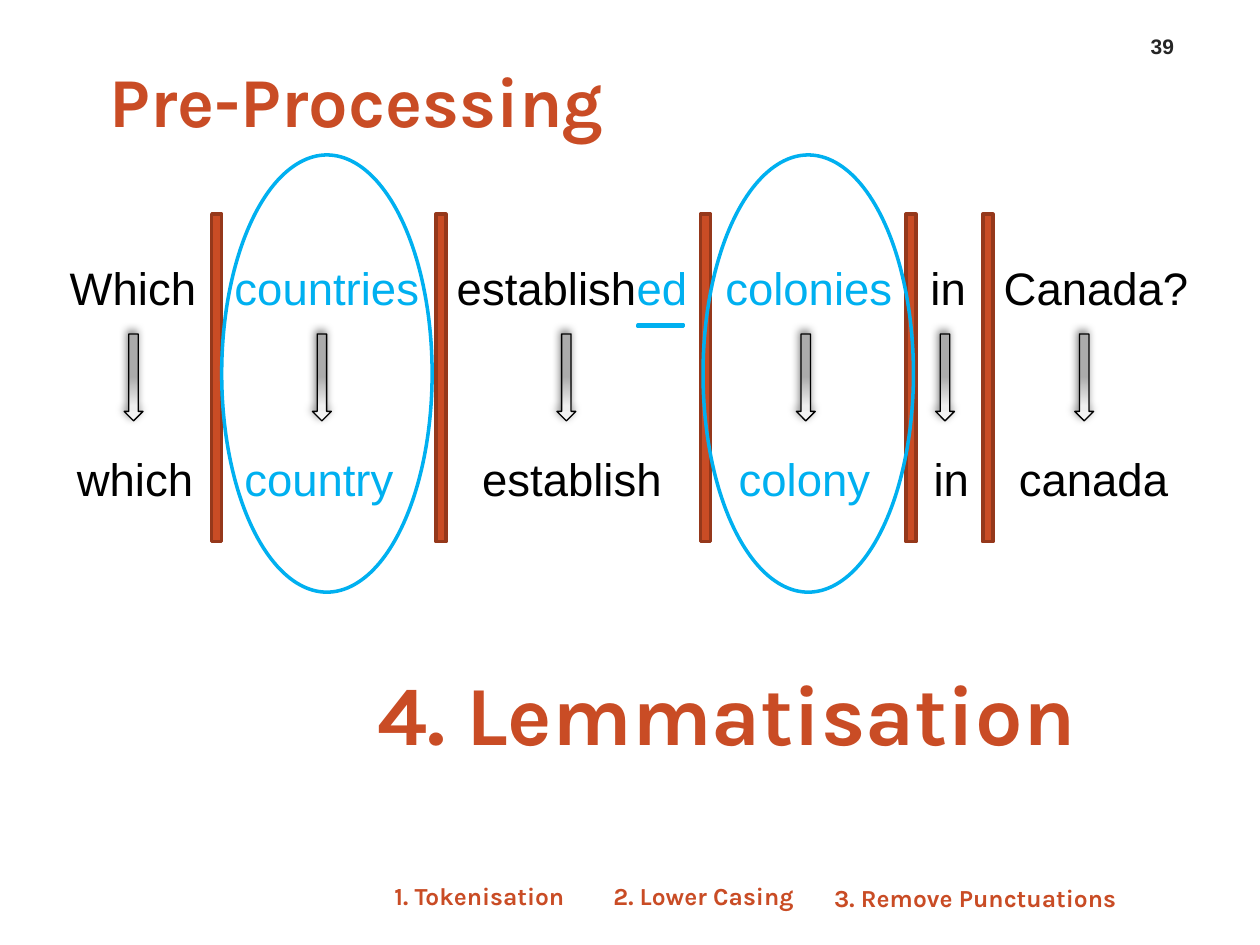
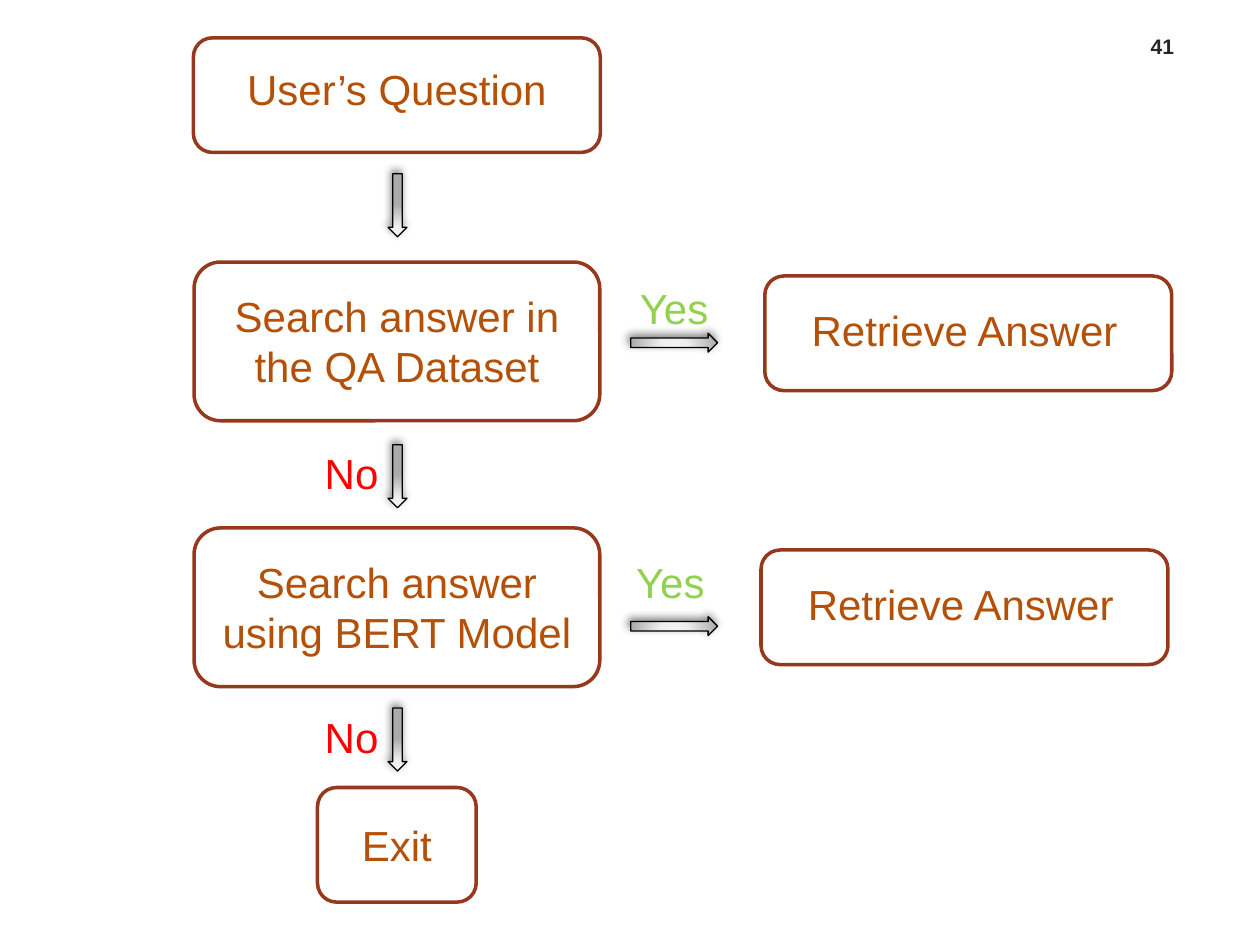
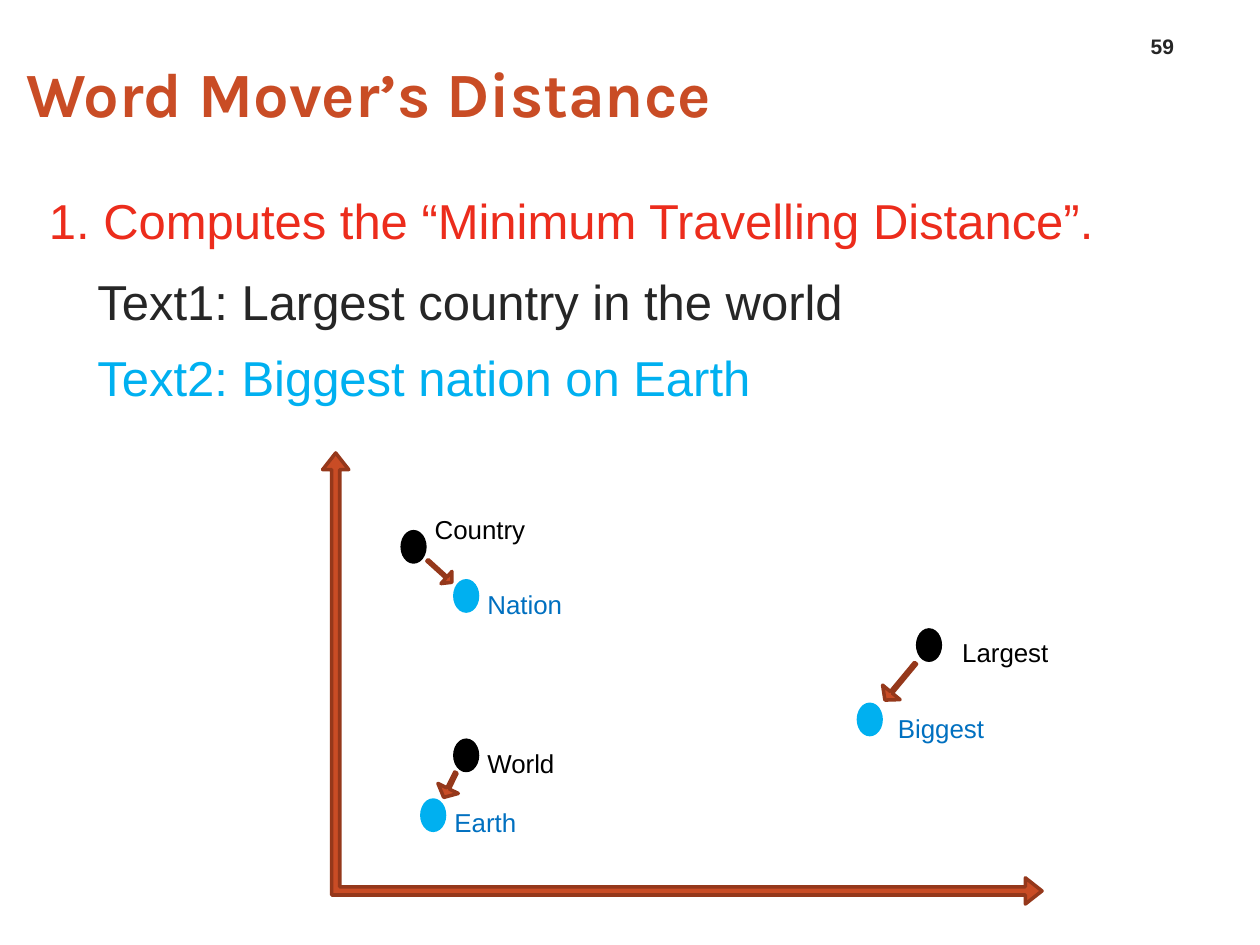
"""Build three slides on question answering: lemmatisation, answer flow and word distance."""
from lxml import etree
from pptx import Presentation
from pptx import util as u
from pptx.dml.color import RGBColor
from pptx.enum import shapes, text
from pptx.oxml import ns

COLORS = {
    "rust": "C94C25", "edge": "95381B", "sky": "00B0F0", "blue": "0070C0",
    "black": "000000", "ink": "262626", "brown": "B45007", "red": "FF0000",
    "scarlet": "EC2C1C", "green": "92D050", "white": "FFFFFF",
}
GRADIENT = [(0, "F4F4F4"), (34, "EFEFEF"), (100, "ABABAB")]
WIDTH, HEIGHT = u.Inches(10), u.Inches(7.5)
COL, ROW = WIDTH / 100, HEIGHT / 75
KIND = shapes.MSO_SHAPE
ANCHOR = text.MSO_ANCHOR
CENTER = text.PP_ALIGN.CENTER


def rgb(name):
    """Return a palette colour."""
    return RGBColor.from_string(COLORS[name])


def place(x, y, w, h):
    """Turn columns and rows into left, top, width and height."""
    return [u.Emu(round(n)) for n in (x * COL, y * ROW, w * COL, h * ROW)]


def node(parent, tag, **attrs):
    """Append a DrawingML element and return it."""
    e = etree.SubElement(parent, ns.qn("a:" + tag))
    for key, value in attrs.items():
        e.set(key, str(value))
    return e


def add_text(s, content, box, size=24, color="black", font="Arial", bold=False,
             align=None, anchor=ANCHOR.TOP, inset=0.1, indent=0.0,
             before=0, after=0):
    """Add a one-paragraph text box; content is a string or (text, colour) runs."""
    tf = s.shapes.add_textbox(*place(*box)).text_frame
    tf.word_wrap = True
    tf.vertical_anchor = anchor
    tf.margin_left = tf.margin_right = u.Inches(inset)
    p = tf.paragraphs[0]
    p.alignment = align
    p.space_before, p.space_after = u.Pt(before), u.Pt(after)
    pr = p._p.get_or_add_pPr()
    pr.set("marL", str(u.Inches(indent)))
    pr.set("indent", "0")
    for words, shade in [(content, color)] if isinstance(content, str) else content:
        r = p.add_run()
        r.text = words
        r.font.name, r.font.size, r.font.bold = font, u.Pt(size), bold
        r.font.color.rgb = rgb(shade)


def add_heading(s, content, box, size, align=None):
    """Add a bold rust heading."""
    add_text(s, content, box, size=size, color="rust", font="Karla", bold=True,
             align=align, anchor=ANCHOR.MIDDLE, inset=0, indent=0.2)


def add_body(s, content, box, size, color, indent=0.07):
    """Add a spaced line of body text."""
    add_text(s, content, box, size=size, color=color, indent=indent,
             before=size / 5, after=10)


def add_shape(s, kind, box, fill=None, line="edge", weight=2, turn=0, adjust=()):
    """Add a preset shape without a shadow."""
    sp = s.shapes.add_shape(kind, *place(*box))
    sp.shadow.inherit = False
    sp.rotation = turn
    for i, value in enumerate(adjust):
        sp.adjustments[i] = value
    if fill:
        sp.fill.solid()
        sp.fill.fore_color.rgb = rgb(fill)
    else:
        sp.fill.background()
    sp.line.color.rgb = rgb(line)
    sp.line.width = u.Pt(weight)
    return sp


def add_step_arrow(s, x, y, length, turn=0):
    """Add a grey gradient arrow with a soft shadow."""
    sp = add_shape(s, KIND.DOWN_ARROW, (x, y, 1.5, length),
                   line="black", weight=0.75, turn=turn)
    pr = sp._element.spPr
    grad = etree.Element(ns.qn("a:gradFill"), rotWithShape="1")
    stops = node(grad, "gsLst")
    for pos, shade in GRADIENT:
        node(node(stops, "gs", pos=pos * 1000), "srgbClr", val=shade)
    node(node(grad, "path", path="circle"), "fillToRect",
         l=110000, t=250000, r=110000, b=40000)
    pr.replace(pr.find(ns.qn("a:noFill")), grad)
    shadow = node(pr.find(ns.qn("a:effectLst")), "outerShdw", blurRad=u.Pt(5),
                  dist=u.Pt(2), dir=245 * 60000, rotWithShape=0)
    node(node(shadow, "srgbClr", val=COLORS["black"]), "alpha", val=50000)


def add_step(s, label, box, shift=0, drop=1.75):
    """Add a rounded flow box and its label."""
    x, y, w, h = box
    add_shape(s, KIND.ROUNDED_RECTANGLE, box)
    add_text(s, label, (x + shift, y + drop, w, h - 3.4), color="brown", align=CENTER)


def add_slide(prs, number):
    """Add a white blank slide with its number."""
    s = prs.slides.add_slide(prs.slide_layouts[6])
    s.background.fill.solid()
    s.background.fill.fore_color.rgb = rgb("white")
    add_text(s, number, (89.5, 1.83, 5.5, 3.3), size=12, color="ink", bold=True,
             align=CENTER, anchor=ANCHOR.BOTTOM)
    return s


def build_lemmatisation(prs):
    """Show each word of a question above its lemma."""
    s = add_slide(prs, "39")
    add_heading(s, "Pre-Processing", (6.7, 3.55, 48.8, 8.7), 40)
    established = [("establish", "black"), ("ed", "sky")]
    pairs = [("Which", 10.56, "which", 10.72, 9.85, "black"),
             ("countries", 25.95, "country", 25.32, 24.8, "sky"),
             (established, 45.4, "establish", 45.4, 44.2, "black"),
             ("colonies", 64.2, "colony", 63.85, 63.2, "sky"),
             ("in", 75.25, "in", 75.5, 74.25, "black"),
             ("Canada?", 87, "canada", 86.8, 85.3, "black")]
    for word, word_x, lemma, lemma_x, arrow_x, color in pairs:
        for content, x, y in ((word, word_x, 20.15), (lemma, lemma_x, 35.3)):
            add_text(s, content, (x - 10.5, y, 21, 5.4), size=26, color=color, align=CENTER)
        add_step_arrow(s, arrow_x, 26.5, 6.9)
    add_heading(s, "4. Lemmatisation", (16.1, 40.57, 81.1, 31.9), 48, CENTER)
    for x in (16.8, 34.6, 55.6, 71.9, 78):
        add_shape(s, KIND.RECTANGLE, (x, 17, 0.8, 26), "rust")
    for x in (17.6, 55.8):
        add_shape(s, KIND.OVAL, (x, 12.3, 16.7, 34.7), line="sky")
    add_shape(s, KIND.MATH_MINUS, (50, 25.6, 4.9, 0.5), "rust", "sky")
    steps = [("1. Tokenisation", 29.3, 69.75, 16.2, None),
             ("2. Lower Casing", 46.5, 69.75, 16.7, CENTER),
             ("3. Remove Punctuations", 63.95, 69.9, 24.9, CENTER)]
    for label, x, y, w, align in steps:
        add_heading(s, label, (x, y, w, 2.7), 14, align)


def build_answer_flow(prs):
    """Show how an answer is looked up, with its fallbacks."""
    s = add_slide(prs, "41")
    add_step(s, "User’s Question", (15.35, 3, 32.3, 9.1), drop=1.55)
    add_step(s, "Search answer in the QA Dataset", (15.4, 20.8, 32.2, 12.6))
    add_step(s, "Search answer using BERT Model", (15.4, 41.9, 32.2, 12.6))
    add_step(s, "Exit", (25.2, 62.5, 12.6, 9.1), drop=2.05)
    for y in (13.8, 35.3, 56.2):
        add_step_arrow(s, 30.8, y, 5)
    for y in (35, 55.95):
        add_text(s, "No", (23.4, y, 9, 5), color="red", align=CENTER)
    for x, y, arrow_y in ((60.7, 21.9, 23.75), (60.4, 43.65, 46.25)):
        add_step(s, "Retrieve Answer", (x, y, 32.3, 9.1), shift=-0.3)
        add_text(s, "Yes", (x - 11.7, y, 9, 5), color="green", align=CENTER)
        add_step_arrow(s, 52.75, arrow_y, 6.9, turn=270)


def build_word_distance(prs):
    """Plot word pairs and the moves between them."""
    s = add_slide(prs, "59")
    add_heading(s, "Word Mover’s Distance", (0.1, 3, 63.1, 8.7), 36)
    lines = [("1. Computes the “Minimum Travelling Distance”.", 2.2, 14.62, "scarlet", 0.07),
             ("Text1: Largest country in the world", 2.85, 21.02, "ink", 0.39),
             ("Text2: Biggest nation on Earth", 2.85, 27.1, "sky", 0.39)]
    for line, x, y, color, indent in lines:
        add_body(s, line, (x, y, 90, 6.3), 28, color, indent)
    add_shape(s, KIND.LEFT_UP_ARROW, (36.25, 25.3, 35.8, 57.1), "rust", turn=90,
              adjust=(0.018, 0.029, 0.037))
    points = [("Country", 31.92, 42.2, 0.9, -1.95, "black", "black"),
              ("Nation", 36.1, 46.1, 0.9, 0.1, "sky", "blue"),
              ("Earth", 33.48, 63.5, 0.9, 0, "sky", "blue"),
              ("World", 36.1, 58.75, 0.9, 0.1, "black", "black"),
              ("Largest", 72.83, 50, 1.85, 0, "black", "black"),
              ("Biggest", 68.13, 55.9, 1.45, 0.2, "sky", "blue")]
    for word, x, y, dx, dy, dot, color in points:
        add_shape(s, KIND.OVAL, (x, y, 1.8, 2.4), dot, dot)
        add_body(s, word, (x + dx, y + dy, 10.9, 3.1), 14.8, color)
    moves = [((33.6, 44.7, 2.6, 1.3), 42.1), ((34.6, 61.4, 2.2, 1.8), 116.2),
             ((69.55, 53.2, 3.8, 1.8), 129.7)]
    for box, turn in moves:
        add_shape(s, KIND.RIGHT_ARROW, box, "rust", turn=turn, adjust=(0.118, 0.442))


def main():
    """Build and save the presentation."""
    prs = Presentation()
    prs.slide_width, prs.slide_height = WIDTH, HEIGHT
    build_lemmatisation(prs)
    build_answer_flow(prs)
    build_word_distance(prs)
    prs.save("out.pptx")


if __name__ == "__main__":
    main()
